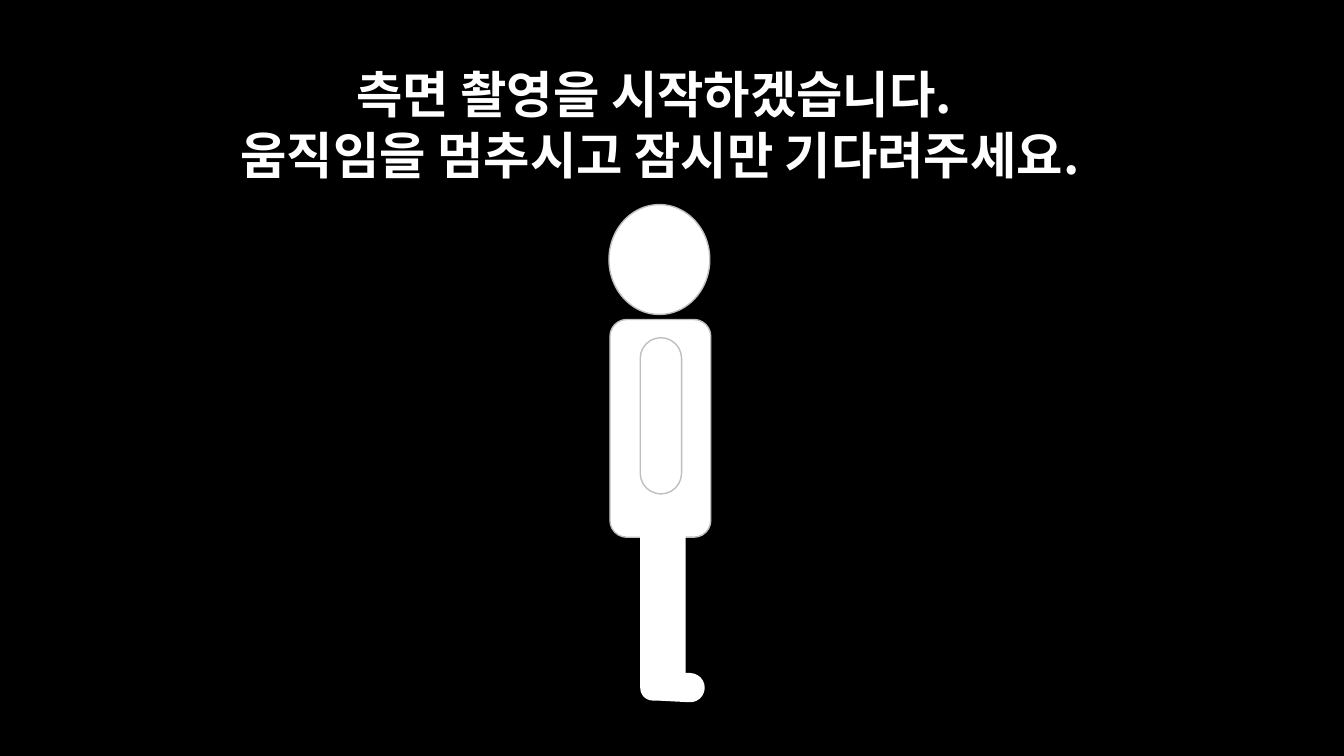
from dataclasses import dataclass
from typing import Optional

from lxml.etree import SubElement
from pptx import Presentation
from pptx.dml.color import RGBColor
from pptx.enum.shapes import MSO_SHAPE as Preset
from pptx.enum.text import MSO_AUTO_SIZE as AutoSize, PP_ALIGN as Align
from pptx.oxml.ns import qn
from pptx.shapes.group import GroupShape
from pptx.slide import Slide
from pptx.util import Inches, Pt

BLACK = RGBColor(0x00, 0x00, 0x00)
WHITE = RGBColor(0xFF, 0xFF, 0xFF)
OUTLINE_GRAY = RGBColor(0xBF, 0xBF, 0xBF)
FONT = "Noto Sans CJK KR"
NOTICE_FORMAT = {"name": FONT, "size": Pt(36), "bold": True}
NOTICE_LINES = ["측면 촬영을 시작하겠습니다. ", "움직임을 멈추시고 잠시만 기다려주세요."]


@dataclass(frozen=True)
class BodyPart:
    preset: Preset
    left: float
    top: float
    width: float
    height: float
    rounding: Optional[float] = None
    outlined: bool = False
    rotation: float = 0


HEAD = BodyPart(Preset.OVAL, 6.04, 2.03, 1, 1.09, outlined=True)
TORSO = BodyPart(Preset.ROUNDED_RECTANGLE, 6.05, 3.17, 1, 2.16, outlined=True)
LEG = BodyPart(Preset.ROUNDED_RECTANGLE, 6.35, 5.16, 0.45, 1.79, 0.274)
ARM = BodyPart(Preset.ROUNDED_RECTANGLE, 6.35, 3.35, 0.41, 1.55, 0.5, True)
FOOT = BodyPart(Preset.ROUNDED_RECTANGLE, 6.44, 6.67, 0.55, 0.29, 0.5, rotation=3)


def draw_notice(slide: Slide) -> None:
    notice = slide.shapes.add_textbox(
        Inches(1.15), Inches(0.58), Inches(10.79), Inches(1.31)
    )
    frame = notice.text_frame
    frame.word_wrap = True
    frame.auto_size = AutoSize.SHAPE_TO_FIT_TEXT
    frame.text = "\n".join(NOTICE_LINES)
    for line in frame.paragraphs:
        line.alignment = Align.CENTER
        for run in line.runs:
            for attribute, value in NOTICE_FORMAT.items():
                setattr(run.font, attribute, value)
            run.font.color.rgb = WHITE
            SubElement(run._r.get_or_add_rPr(), qn("a:ea"), typeface=FONT)


def draw_part(figure: GroupShape, part: BodyPart) -> None:
    shape = figure.shapes.add_shape(
        part.preset,
        *map(Inches, (part.left, part.top, part.width, part.height)),
    )
    shape.shadow.inherit = False
    shape.rotation = part.rotation
    shape.fill.solid()
    shape.fill.fore_color.rgb = WHITE
    if part.rounding is not None:
        shape.adjustments[0] = part.rounding
    if part.outlined:
        shape.line.color.rgb = OUTLINE_GRAY
        shape.line.width = Pt(1)
    else:
        shape.line.fill.background()


def main() -> None:
    deck = Presentation()
    deck.slide_width = Inches(13.33)
    deck.slide_height = Inches(7.5)
    slide = deck.slides.add_slide(deck.slide_layouts[6])
    slide.background.fill.solid()
    slide.background.fill.fore_color.rgb = BLACK
    draw_notice(slide)
    figure = slide.shapes.add_group_shape()
    for part in (HEAD, TORSO, LEG, ARM, FOOT):
        draw_part(figure, part)
    deck.save("out.pptx")


if __name__ == "__main__":
    main()
